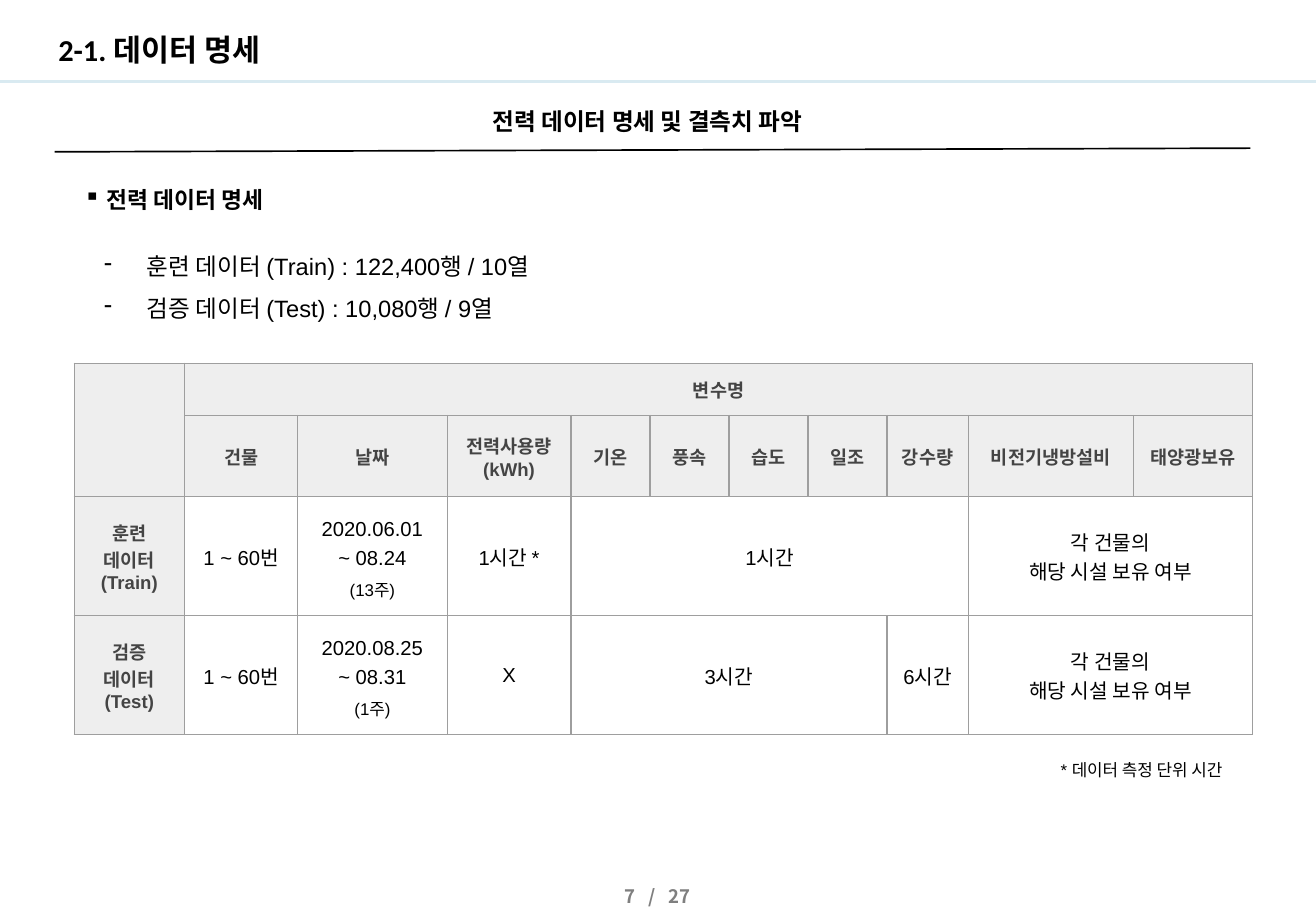
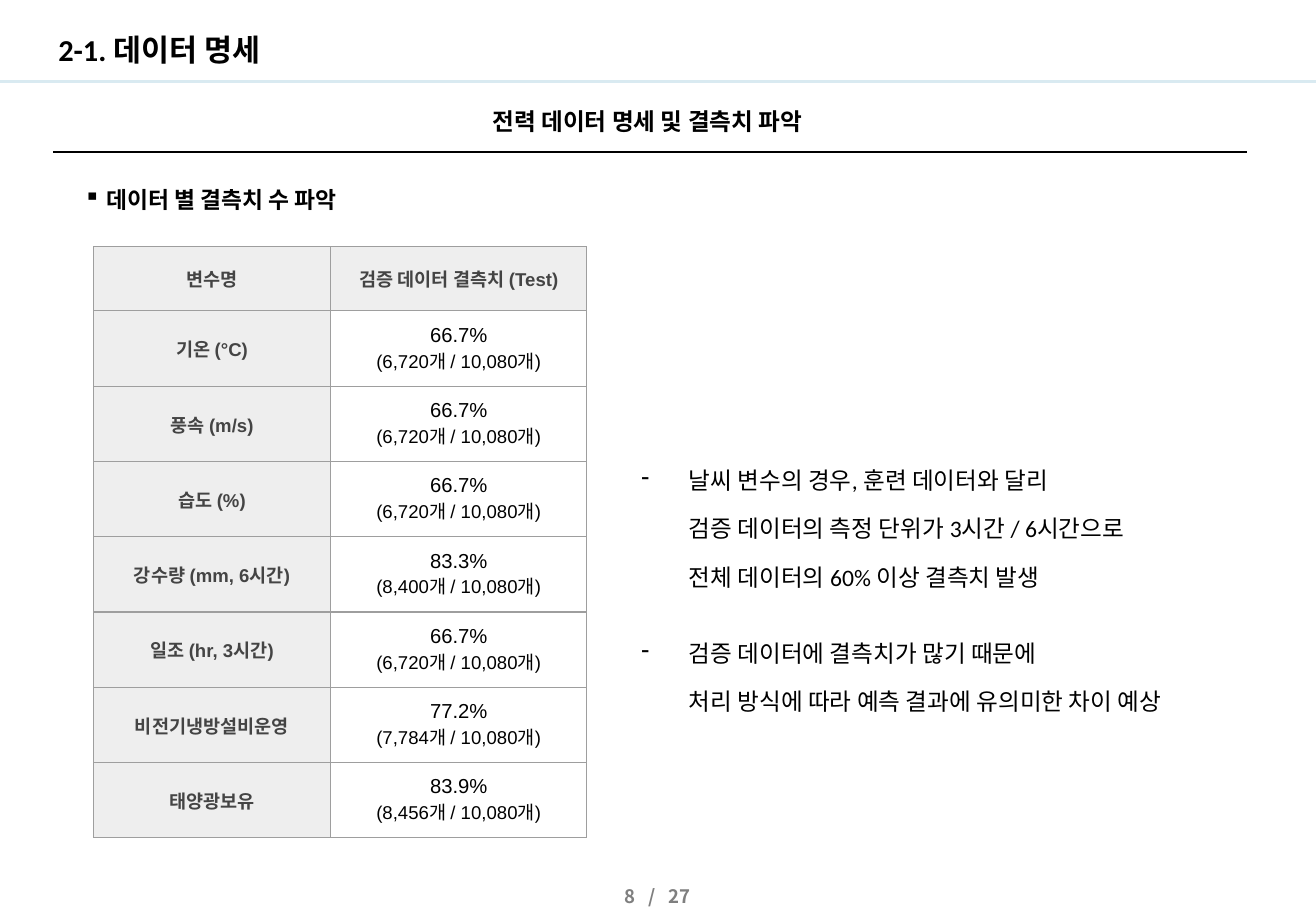
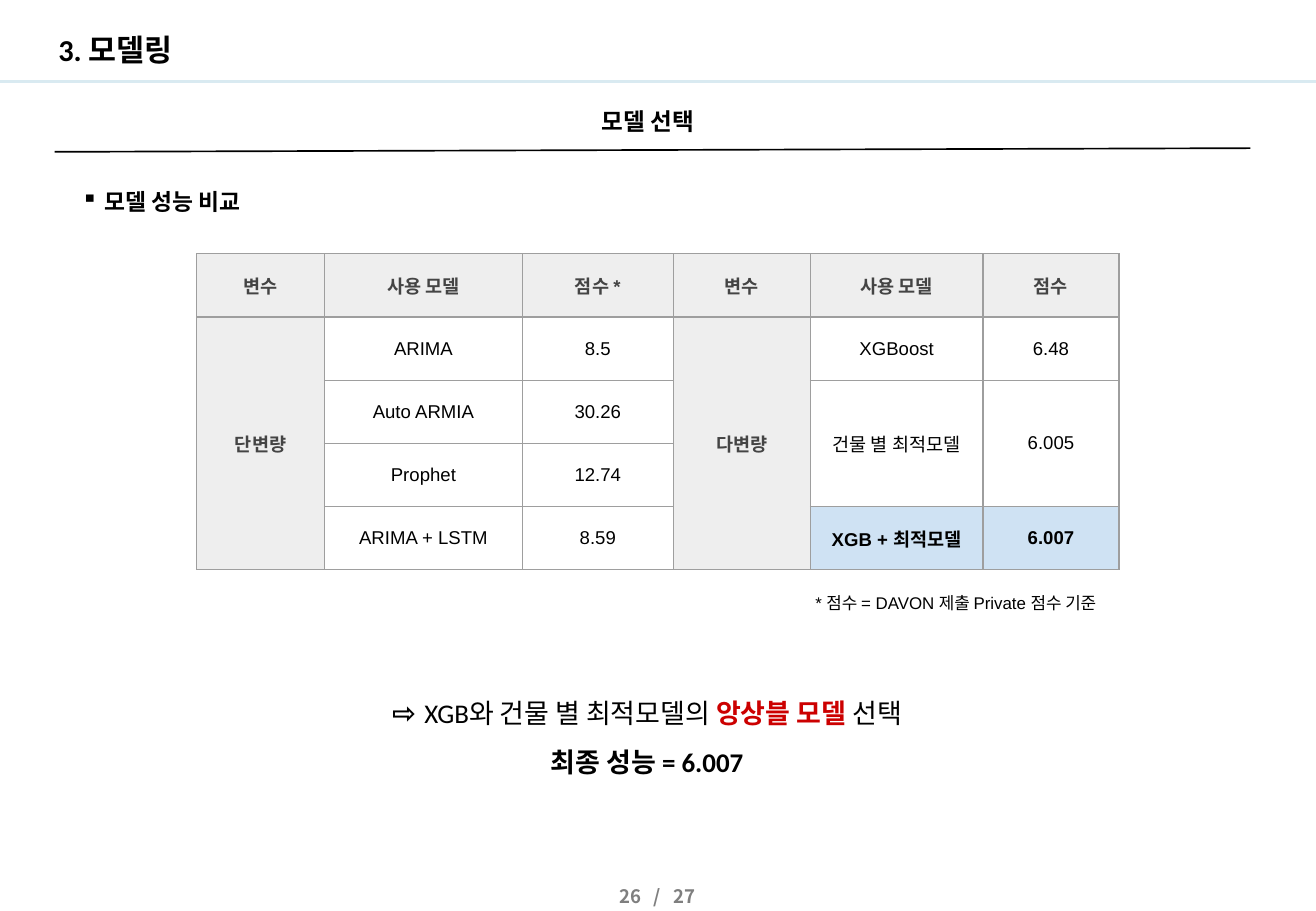
from lxml import etree
from pptx import Presentation
from pptx import util as u
from pptx.dml.color import RGBColor
from pptx.enum import shapes, text
from pptx.oxml import ns

COLORS = {
    "ink": "000000", "band": "D9EAF1", "page": "7F7F7F", "border": "9E9E9E",
    "header": "EEEEEE", "header_text": "444444", "highlight": "CFE2F3", "accent": "CC0000",
}
KOREAN = "Noto Sans CJK KR"
PAGE_COUNT = 27
CENTER = text.PP_ALIGN.CENTER
MIDDLE = text.MSO_ANCHOR.MIDDLE


def color_of(name):
    return RGBColor.from_string(COLORS[name])


def add_element(parent, tag, **attributes):
    return etree.SubElement(parent, ns.qn(tag), attributes)


class Deck:
    """Hold the shared style and the current slide, and draw each kind of element."""

    def __init__(self):
        self.presentation = Presentation()
        self.presentation.slide_width = u.Inches(10.83)
        self.presentation.slide_height = u.Inches(7.5)
        self.slide = None

    def start_slide(self, title, subtitle, page, rule):
        layout = self.presentation.slide_layouts[5]
        self.slide = self.presentation.slides.add_slide(layout)
        self.line((0, 0.67), (10.83, 0.67), "band", 2)
        self.page_number(page)
        self.title(title)
        self.line(*rule, "ink", 1)
        frame = self.text_box((3.21, 0.8, 4.24, 0.34), (0.1, 0.05, 0.1, 0.05))
        self.set_text(frame.paragraphs[0], subtitle, 14, KOREAN, bold=True, align=CENTER, spacing=1.2)

    def style_run(self, run, size, font="Arial", color="ink", bold=False):
        run.font.size = u.Pt(size)
        run.font.bold = bold
        run.font.color.rgb = color_of(color)
        run.font.name = font
        add_element(run._r.get_or_add_rPr(), "a:ea", typeface=KOREAN)

    def set_text(self, paragraph, content, size, font="Arial", color="ink", bold=False,
                 align=text.PP_ALIGN.LEFT, spacing=None):
        paragraph.text = content
        paragraph.alignment = align
        if spacing:
            paragraph.line_spacing = spacing
        for run in paragraph.runs:
            self.style_run(run, size, font, color, bold)
        for line_break in paragraph._p.findall(ns.qn("a:br")):
            add_element(line_break, "a:rPr", sz=str(int(size * 100)))

    def append_run(self, paragraph, content, size, font="Arial", color="ink", bold=False):
        run = paragraph.add_run()
        run.text = content
        self.style_run(run, size, font, color, bold)
        return run

    def set_frame(self, frame, insets, anchor):
        frame.word_wrap = True
        frame.auto_size = text.MSO_AUTO_SIZE.NONE
        frame.vertical_anchor = anchor
        (frame.margin_left, frame.margin_top,
         frame.margin_right, frame.margin_bottom) = map(u.Inches, insets)

    def text_box(self, place, insets=(0.1, 0.1, 0.1, 0.1), anchor=MIDDLE):
        shape = self.slide.shapes.add_textbox(*map(u.Inches, place))
        self.set_frame(shape.text_frame, insets, anchor)
        return shape.text_frame

    def title(self, content):
        shape = self.slide.shapes.title
        shape.left, shape.top, shape.width, shape.height = map(u.Inches, (0.38, 0.23, 5.04, 0.39))
        self.set_frame(shape.text_frame, (0.1, 0.05, 0.1, 0.05), MIDDLE)
        self.set_text(shape.text_frame.paragraphs[0], content, 18, "Calibri", bold=True, spacing=0.9)

    def page_number(self, page):
        frame = self.text_box((4.61, 7.2, 1.6, 0.25), (0.1, 0.05, 0.1, 0.05), text.MSO_ANCHOR.TOP)
        paragraph = frame.paragraphs[0]
        self.set_text(paragraph, str(page), 11, KOREAN, "page", True, CENTER, 1.2)
        for piece in (" ", "/", " ", str(PAGE_COUNT)):
            run = self.append_run(paragraph, piece, 11, KOREAN, "page", True)
            if piece == " ":
                run._r.get_or_add_rPr().set("spc", "500")

    def line(self, start, end, color, width):
        connector = self.slide.shapes.add_connector(
            shapes.MSO_CONNECTOR.STRAIGHT, *map(u.Inches, (*start, *end)))
        connector.line.color.rgb = color_of(color)
        connector.line.width = u.Pt(width)
        add_element(connector._element.spPr, "a:effectLst")

    def bullet(self, paragraph, symbol, left, hanging):
        properties = paragraph._p.get_or_add_pPr()
        properties.set("marL", str(u.Inches(left)))
        properties.set("indent", str(-u.Inches(hanging)))
        bullet_color = add_element(properties, "a:buClr")
        add_element(bullet_color, "a:srgbClr", val=COLORS["ink"])
        add_element(properties, "a:buChar", char=symbol)

    def heading(self, content, left=0.61, top=1.44):
        frame = self.text_box((left, top, 4.58, 0.31), (0.08, 0.04, 0.04, 0.04), text.MSO_ANCHOR.TOP)
        paragraph = frame.paragraphs[0]
        self.bullet(paragraph, "▪", 0.19, 0.19)
        self.set_text(paragraph, content, 13.5, KOREAN, bold=True, spacing=1.2)

    def dash_list(self, place, items, left, hanging, spacing, font="Arial", gap=0):
        frame = self.text_box(place)
        for index, item in enumerate(items):
            paragraph = frame.add_paragraph() if index else frame.paragraphs[0]
            self.bullet(paragraph, "-", left, hanging)
            self.set_text(paragraph, item, 14, font, spacing=spacing)
            if index and gap:
                paragraph.space_before = u.Pt(gap)

    def note(self, place, content, align=text.PP_ALIGN.LEFT):
        self.set_text(self.text_box(place).paragraphs[0], content, 10, align=align)

    def border(self, cell):
        properties = cell._tc.get_or_add_tcPr()
        for index, side in enumerate(("a:lnL", "a:lnR", "a:lnT", "a:lnB")):
            edge = add_element(properties, side, w=str(u.Pt(0.75)))
            fill = add_element(edge, "a:solidFill")
            add_element(fill, "a:srgbClr", val=COLORS["border"])
            properties.insert(index, edge)

    def table(self, left, top, widths, heights, rows, header_rows=1, header_columns=(0,),
              merges=(), highlights=(), size=12, small=11):
        frame = self.slide.shapes.add_table(
            len(heights), len(widths), u.Inches(left), u.Inches(top),
            u.Inches(sum(widths)), u.Inches(sum(heights)))
        table = frame.table
        table.first_row = table.horz_banding = False
        for column, width in zip(table.columns, widths):
            column.width = u.Inches(width)
        for row, height in zip(table.rows, heights):
            row.height = u.Inches(height)
        for first, last in merges:
            table.cell(*first).merge(table.cell(*last))
        for row_index, row in enumerate(rows):
            for column_index, content in enumerate(row):
                cell = table.cell(row_index, column_index)
                header = row_index < header_rows or column_index in header_columns
                highlight = (row_index, column_index) in highlights
                self.fill_cell(cell, content, header, highlight, size, small)
        return table

    def fill_cell(self, cell, content, header, highlight, size, small):
        cell.vertical_anchor = MIDDLE
        cell.margin_left = cell.margin_right = u.Inches(0.1)
        cell.margin_top = cell.margin_bottom = u.Inches(0.1)
        if header or highlight:
            cell.fill.solid()
            cell.fill.fore_color.rgb = color_of("header" if header else "highlight")
        else:
            cell.fill.background()
        self.border(cell)
        if not content:
            return
        paragraph = cell.text_frame.paragraphs[0]
        color = "header_text" if header else "ink"
        self.set_text(paragraph, content, 11 if header else size, color=color,
                      bold=header or highlight, align=CENTER)
        if not header and "\v(" in content:
            paragraph.runs[-1].font.size = u.Pt(small)


SLOPED_RULE = ((0.45, 1.25), (10.29, 1.22))
LEVEL_RULE = ((0.44, 1.25), (10.26, 1.25))


def build_data_slide(deck):
    deck.start_slide("2-1. 데이터 명세", "전력 데이터 명세 및 결측치 파악", 7, SLOPED_RULE)
    deck.heading("전력 데이터 명세")
    facilities = "각 건물의\v해당 시설 보유 여부"
    table = deck.table(
        0.61, 2.99, [0.91, 0.93, 1.23, 1.02] + [0.65] * 4 + [0.67, 1.36, 0.98],
        [0.43, 0.67, 0.98, 0.98],
        [
            ["", "변수명"] + [""] * 9,
            ["", "건물", "날짜", "전력사용량 (kWh)", "기온", "풍속", "습도", "일조", "강수량",
             "비전기냉방설비", "태양광보유"],
            ["훈련 데이터 (Train)", "1 ~ 60번", "2020.06.01\v~ 08.24\v(13주)", "1시간 *", "1시간",
             "", "", "", "", facilities, ""],
            ["검증 데이터 (Test)", "1 ~ 60번", "2020.08.25\v~ 08.31\v(1주)", "X", "3시간",
             "", "", "", "6시간", facilities, ""],
        ],
        header_rows=2, small=10,
        merges=[((0, 0), (1, 0)), ((0, 1), (0, 10)), ((2, 4), (2, 8)), ((2, 9), (2, 10)),
                ((3, 4), (3, 7)), ((3, 9), (3, 10))])
    for row_index in (2, 3):
        table.cell(row_index, 2).text_frame.paragraphs[0].line_spacing = 1.3
    deck.note((8.63, 6.19, 1.66, 0.3), "* 데이터 측정 단위 시간")
    deck.dash_list(
        (0.61, 1.76, 5.46, 1.09),
        ["훈련 데이터 (Train) : 122,400행 / 10열", "검증 데이터 (Test) : 10,080행 / 9열"],
        0.5, 0.35, 1.5)


def build_missing_slide(deck):
    deck.start_slide("2-1. 데이터 명세", "전력 데이터 명세 및 결측치 파악", 8, LEVEL_RULE)
    deck.heading("데이터 별 결측치 수 파악")
    missing = [
        ("기온 (°C)", "66.7%", "6,720"), ("풍속 (m/s)", "66.7%", "6,720"),
        ("습도 (%)", "66.7%", "6,720"), ("강수량 (mm, 6시간)", "83.3%", "8,400"),
        ("일조 (hr, 3시간)", "66.7%", "6,720"), ("비전기냉방설비운영", "77.2%", "7,784"),
        ("태양광보유", "83.9%", "8,456"),
    ]
    rows = [[name, f"{share}\v({count}개 / 10,080개)"] for name, share, count in missing]
    deck.table(0.77, 2.03, [1.95, 2.11], [0.53] + [0.62] * len(missing),
               [["변수명", "검증 데이터 결측치 (Test)"]] + rows)
    deck.dash_list(
        (4.99, 3.54, 5.07, 2.48),
        ["날씨 변수의 경우, 훈련 데이터와 달리\v검증 데이터의 측정 단위가 3시간 / 6시간으로\v"
         "전체 데이터의 60% 이상 결측치 발생",
         "검증 데이터에 결측치가 많기 때문에\v처리 방식에 따라 예측 결과에 유의미한 차이 예상"],
        0.58, 0.39, 1.7, "Calibri", gap=16.5)


def build_model_slide(deck):
    deck.start_slide("3. 모델링", "모델 선택", 26, SLOPED_RULE)
    deck.heading("모델 성능 비교", 0.59, 1.46)
    deck.table(
        1.62, 2.09, [1.05, 1.63, 1.24, 1.13, 1.42, 1.12], [0.52] * 5,
        [
            ["변수", "사용 모델", "점수 *", "변수", "사용 모델", "점수"],
            ["단변량", "ARIMA", "8.5", "다변량", "XGBoost", "6.48"],
            ["", "Auto ARMIA", "30.26", "", "건물 별 최적모델", "6.005"],
            ["", "Prophet", "12.74", "", "", ""],
            ["", "ARIMA + LSTM", "8.59", "", "XGB + 최적모델", "6.007"],
        ],
        header_columns=(0, 3), highlights=((4, 4), (4, 5)), size=11,
        merges=[((1, 0), (4, 0)), ((1, 3), (4, 3)), ((2, 4), (3, 4)), ((2, 5), (3, 5))])
    deck.note((6.52, 4.84, 2.69, 0.25), "* 점수 = DAVON 제출 Private 점수 기준", CENTER)
    frame = deck.text_box((2.15, 5.47, 6.35, 1.04))
    choice = frame.paragraphs[0]
    deck.set_text(choice, "⇨ ", 17, bold=True, align=CENTER, spacing=1.5)
    deck.append_run(choice, "XGB와 건물 별 최적모델의 ", 16, "Calibri")
    deck.append_run(choice, "앙상블 모델", 16, "Calibri", "accent", True)
    deck.append_run(choice, " 선택", 16, "Calibri")
    deck.set_text(frame.add_paragraph(), "최종 성능 = 6.007", 16, "Calibri", bold=True,
                  align=CENTER, spacing=1.5)


def main():
    deck = Deck()
    build_data_slide(deck)
    build_missing_slide(deck)
    build_model_slide(deck)
    deck.presentation.save("out.pptx")


if __name__ == "__main__":
    main()
